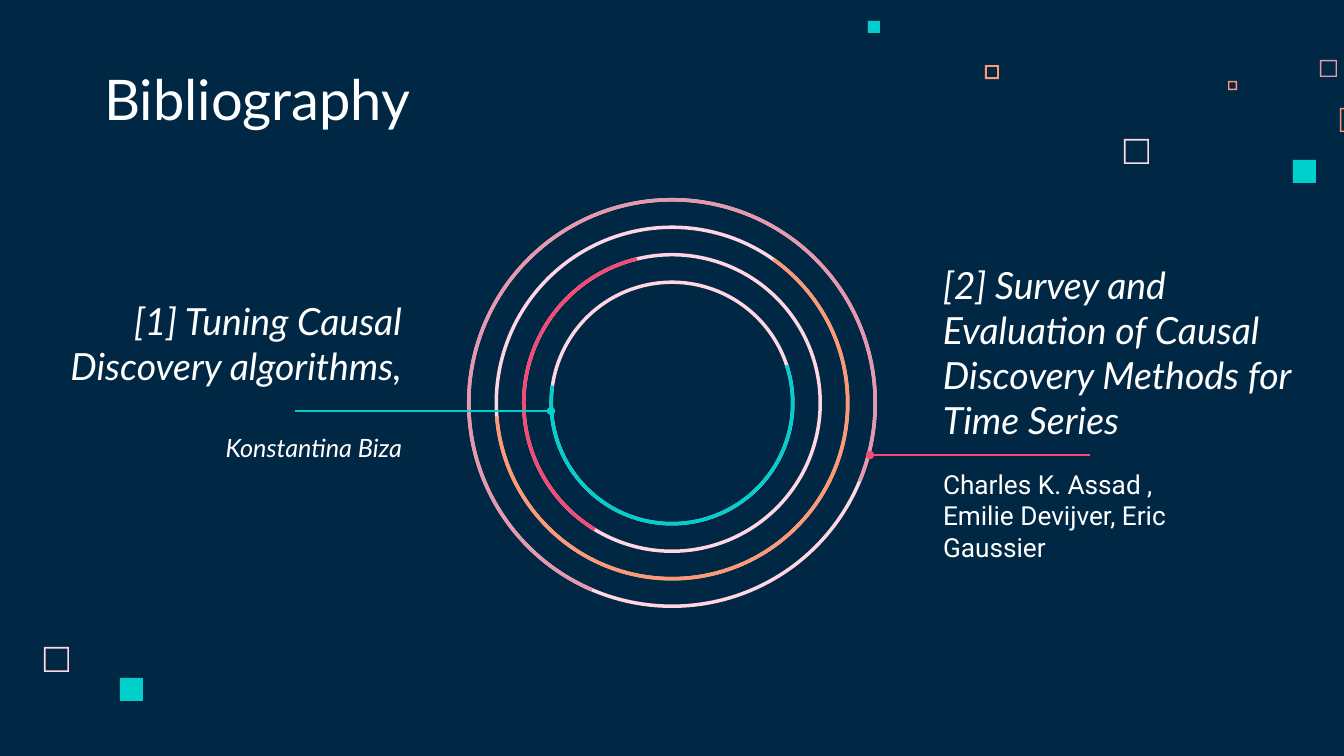
from lxml import etree
from pptx import Presentation
from pptx.dml.color import RGBColor as Rgb
from pptx.enum.shapes import MSO_CONNECTOR as Link, MSO_SHAPE as Kind
from pptx.enum.text import MSO_ANCHOR as Anchor, PP_ALIGN as Align
from pptx.oxml.ns import qn
from pptx.util import Pt

# Content: lengths in px, text sizes in points
COLORS = {"navy": "002845", "white": "FFFFFF", "blush": "FFD6E1",
          "rose": "E898AC", "coral": "FF9973", "red": "F64975",
          "teal": "00CFCC"}

# left, top, side, colour, border (None for a solid square)
SQUARES = [
    (1124, 139, 25, "blush", 1.6),
    (1320, 60, 17, "rose", 1.4),
    (1228, 81, 9, "coral", 1.4),
    (1340, 108, 24, "coral", 1.4),
    (1293, 160, 23, "teal", None),
    (985, 65, 14, "coral", 1.8),
    (868, 21, 12, "teal", None),
    (44, 647, 25, "blush", 1.6),
    (120, 678, 23, "teal", None),
]

TITLE = "Bibliography"
TUNING = ["[1] Tuning Causal Discovery algorithms,", "Konstantina Biza"]
SURVEY = ("[2] Survey and Evaluation of Causal Discovery Methods "
          "for Time Series")
AUTHORS = "Charles K. Assad , Emilie Devijver, Eric Gaussier"

# Arcs from the outer ring inwards: colour, turn, start and end in degrees
ARCS = [("rose", 210, 263.18, 172.67), ("coral", 0, 305.23, 175.64),
        ("red", 81.2, 40.21, 175.17), ("teal", 13.1, 328.69, 175.17)]
MID_X, MID_Y = 672, 403
OUTER, STEP, BAND = 410, 55, 3.5

# Pointers: from x, to x, y, colour
LINES = [(295, 551, 411, "teal"), (1090, 870, 455, "red")]

SCALE = 914400 / 100.8


def px(n):
    return round(n * SCALE)


def rgb(name):
    return Rgb.from_string(COLORS[name])


deck = Presentation()
deck.slide_width, deck.slide_height = px(1344), px(756)
slide = deck.slides.add_slide(deck.slide_layouts[6])
slide.background.fill.solid()
slide.background.fill.fore_color.rgb = rgb("navy")


def add_shape(kind, x, y, side, color, adjust=(), turn=0):
    shape = slide.shapes.add_shape(kind, px(x), px(y), px(side), px(side))
    shape.shadow.inherit = False
    shape.fill.solid()
    shape.fill.fore_color.rgb = rgb(color)
    shape.line.fill.background()
    for i, value in enumerate(adjust):
        shape.adjustments[i] = value
    shape.rotation = turn


def add_text(text, x, y, w, h, sizes, font="Lato", italic=False,
             align=Align.LEFT, anchor=Anchor.TOP, gap=0):
    frame = slide.shapes.add_textbox(px(x), px(y), px(w), px(h)).text_frame
    frame.word_wrap = True
    frame.vertical_anchor = anchor
    frame.margin_left = frame.margin_right = px(13)
    frame.margin_top = frame.margin_bottom = px(13)
    lines = [text] if isinstance(text, str) else text
    for i, (line, size) in enumerate(zip(lines, sizes)):
        para = frame.add_paragraph() if i else frame.paragraphs[0]
        para.alignment = align
        if i:
            para.space_before = Pt(gap)
        run = para.add_run()
        run.text = line
        run.font.name, run.font.size = font, Pt(size)
        run.font.italic = italic
        run.font.color.rgb = rgb("white")


# Scattered squares
for x, y, side, color, border in SQUARES:
    if border:
        add_shape(Kind.FRAME, x, y, side, color, [border / side])
    else:
        add_shape(Kind.RECTANGLE, x, y, side, color)

# Title and references
add_text(TITLE, 91, 60, 695, 85, [40], anchor=Anchor.BOTTOM)
add_text(TUNING, -6, 285, 421, 185, [26.7, 18], italic=True,
         align=Align.RIGHT, gap=32)
add_text(SURVEY, 930, 251, 397, 204, [26.7], italic=True,
         anchor=Anchor.BOTTOM)
add_text(AUTHORS, 930, 455, 276, 95, [18.7], font="Roboto")

# Concentric rings, then the coloured arcs over them
sizes = [OUTER - STEP * i for i in range(len(ARCS))]
for size in sizes:
    add_shape(Kind.DONUT, MID_X - size / 2, MID_Y - size / 2, size, "blush",
              [BAND / size])
for size, (color, turn, start, end) in zip(sizes, ARCS):
    # An angle is stored in 60000ths of a degree, an adjustment in 100000ths
    add_shape(Kind.BLOCK_ARC, MID_X - size / 2, MID_Y - size / 2, size, color,
              [start * 0.6, end * 0.6, BAND / size], turn)

# Pointers with a dot at the ring
for start, end, y, color in LINES:
    link = slide.shapes.add_connector(Link.STRAIGHT, px(start), px(y),
                                      px(end), px(y))
    link.line.color.rgb = rgb(color)
    link.line.width = Pt(1.5)
    etree.SubElement(link.line._get_or_add_ln(), qn("a:tailEnd"), type="oval")
    etree.SubElement(link._element.spPr, qn("a:effectLst"))

deck.save("out.pptx")
